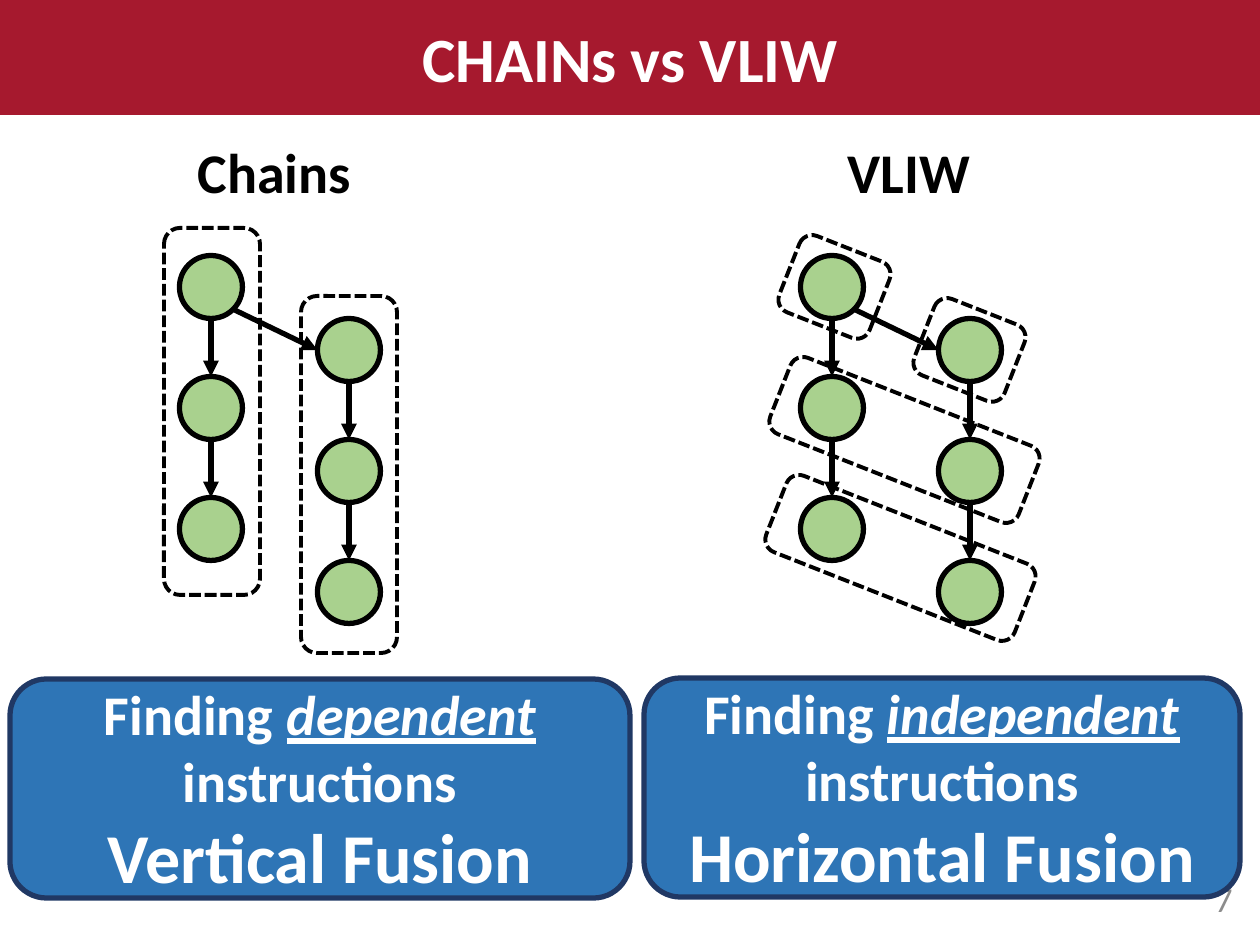
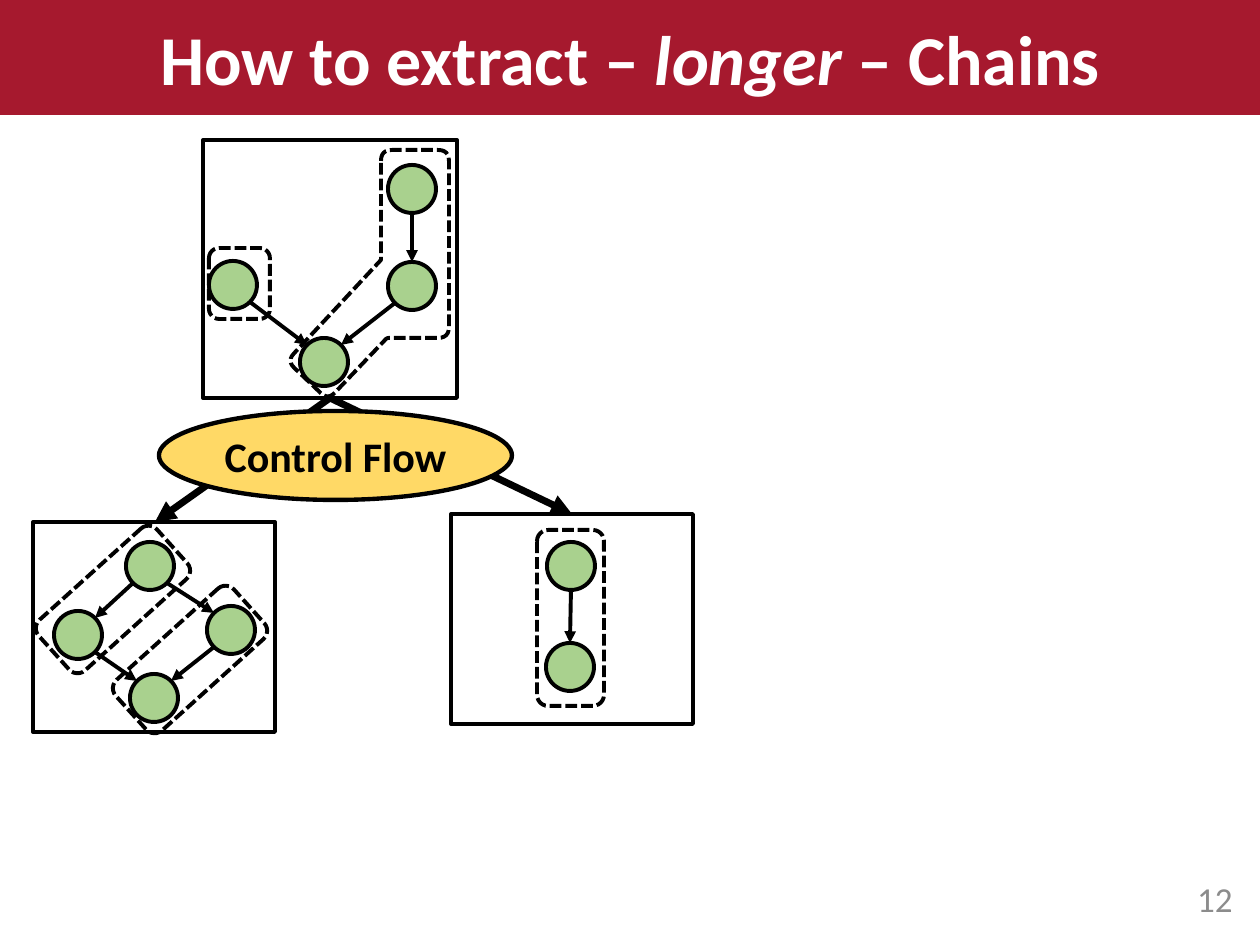
"""Build two slides that compare instruction chains and show how to extract them."""
import pptx
import pptx.dml.color
import pptx.enum.dml
import pptx.enum.shapes
import pptx.enum.text
import pptx.oxml
import pptx.oxml.ns
import pptx.util

COLOURS = {
    "band": "A6192E", "node": "A9D18E", "flow": "FFD966", "panel": "2E75B6",
    "panel_edge": "203864", "ink": "000000", "paper": "FFFFFF", "number": "8C8C8C",
}
FONT = "Calibri"
SCALE = 914400 / 126
SHAPES = pptx.enum.shapes.MSO_SHAPE
ALIGN = pptx.enum.text.PP_ALIGN
MIDDLE = pptx.enum.text.MSO_ANCHOR.MIDDLE
COMPASS = {"N": (0, -1), "S": (0, 1), "W": (-1, 0), "E": (1, 0),
           "NW": (-0.71, -0.71), "NE": (0.71, -0.71),
           "SW": (-0.71, 0.71), "SE": (0.71, 0.71)}


def emu(*pixels):
    """Turn pixel lengths into a list of EMU."""
    return [pptx.util.Emu(round(value * SCALE)) for value in pixels]


def colour(name):
    """Return the named colour."""
    return pptx.dml.color.RGBColor.from_string(COLOURS[name])


def write(para, text, size=32, ink="ink", bold=True, italic=None, underline=None):
    """Add one formatted span of text to a paragraph."""
    span = para.add_run()
    span.text = text
    span.font.name = FONT
    span.font.size = pptx.util.Pt(size)
    span.font.color.rgb = colour(ink)
    span.font.bold = bold
    span.font.italic = italic
    span.font.underline = underline


def rounded(corners, steps=6):
    """Return the outline through (x, y, radius) corners, rounded by short segments."""
    points = []
    for index, (x, y, radius) in enumerate(corners):
        if not radius:
            points.append((x, y))
            continue
        ends = []
        for other in (corners[index - 1], corners[(index + 1) % len(corners)]):
            run, rise = other[0] - x, other[1] - y
            share = radius / (run ** 2 + rise ** 2) ** 0.5
            ends.append((x + run * share, y + rise * share))
        (ax, ay), (bx, by) = ends
        for step in range(steps + 1):
            t = step / steps
            points.append(((1 - t) ** 2 * ax + 2 * t * (1 - t) * x + t * t * bx,
                           (1 - t) ** 2 * ay + 2 * t * (1 - t) * y + t * t * by))
    return points


class Board:
    """Hold the deck style and the slide being drawn."""

    def __init__(self, deck):
        """Keep the deck."""
        self.deck = deck
        self.page = None

    def start(self, number, spans, size):
        """Add a slide with its title band and number."""
        self.page = self.deck.slides.add_slide(self.deck.slide_layouts[5])
        title = self.page.shapes.title
        title.left, title.top, title.width, title.height = emu(0, 0, 1260, 115)
        title.fill.solid()
        title.fill.fore_color.rgb = colour("band")
        frame = title.text_frame
        frame.auto_size = pptx.enum.text.MSO_AUTO_SIZE.NONE
        frame.vertical_anchor = MIDDLE
        para = frame.paragraphs[0]
        para.alignment = ALIGN.CENTER
        for text, style in spans:
            write(para, text, size=size, ink="paper", **style)
        self.label(number, 961, 873, 284, 50, wrap=True, align=ALIGN.RIGHT,
                   size=20, ink="number", bold=False)

    def label(self, text, x, y, width, height, wrap=False, align=ALIGN.LEFT, **style):
        """Add a plain text box."""
        box = self.page.shapes.add_textbox(*emu(x, y, width, height))
        box.text_frame.word_wrap = wrap
        if wrap:
            box.text_frame.vertical_anchor = MIDDLE
        para = box.text_frame.paragraphs[0]
        para.alignment = align
        write(para, text, **style)

    def finish(self, box, fill, line, weight, dashed=False):
        """Set fill and line of a shape, without shadow."""
        box.shadow.inherit = False
        if fill:
            box.fill.solid()
            box.fill.fore_color.rgb = colour(fill)
        else:
            box.fill.background()
        box.line.color.rgb = colour(line)
        box.line.width = pptx.util.Pt(weight)
        if dashed:
            box.line.dash_style = pptx.enum.dml.MSO_LINE.SQUARE_DOT

    def shape(self, kind, x, y, width, height, fill=None, line="ink", weight=2.25,
              dashed=False, turn=0):
        """Add a preset shape."""
        box = self.page.shapes.add_shape(kind, *emu(x, y, width, height))
        box.rotation = turn
        self.finish(box, fill, line, weight, dashed)
        return box

    def fence(self, x, y, width, height, turn=0):
        """Add a dashed rounded frame around a chain."""
        self.shape(SHAPES.ROUNDED_RECTANGLE, x, y, width, height, dashed=True, turn=turn)

    def outline(self, corners):
        """Add a dashed frame of free form."""
        points = [emu(*point) for point in rounded(corners)]
        builder = self.page.shapes.build_freeform(*points[0])
        builder.add_line_segments(points[1:], close=True)
        self.finish(builder.convert_to_shape(), None, "ink", 2.25, dashed=True)

    def arrow(self, start, end, weight):
        """Add a straight arrow."""
        line = self.page.shapes.add_connector(
            pptx.enum.shapes.MSO_CONNECTOR.STRAIGHT, *emu(*start, *end))
        line.line.color.rgb = colour("ink")
        line.line.width = pptx.util.Pt(weight)
        space = pptx.oxml.ns.nsdecls("a")
        line.line._get_or_add_ln().append(
            pptx.oxml.parse_xml(f'<a:tailEnd {space} type="triangle"/>'))
        line._element.spPr.append(pptx.oxml.parse_xml(f"<a:effectLst {space}/>"))

    def graph(self, nodes, links, radius, weight):
        """Add round nodes, given by their centres, and the arrows between them."""
        for x, y in nodes.values():
            self.shape(SHAPES.OVAL, x - radius, y - radius, 2 * radius, 2 * radius,
                       fill="node", weight=weight)
        for source, leave, target, enter in links:
            ends = [[centre + radius * way for centre, way in zip(nodes[name], COMPASS[side])]
                    for name, side in ((source, leave), (target, enter))]
            self.arrow(*ends, weight)

    def panel(self, x, y, width, word, fusion):
        """Add a blue panel that names the kind of fusion."""
        box = self.shape(SHAPES.ROUNDED_RECTANGLE, x, y, width, 219,
                         fill="panel", line="panel_edge", weight=3)
        frame = box.text_frame
        frame.word_wrap = True
        frame.vertical_anchor = MIDDLE
        first, second = frame.paragraphs[0], frame.add_paragraph()
        first.alignment = second.alignment = ALIGN.CENTER
        write(first, "Finding ", ink="paper")
        write(first, word, ink="paper", italic=True, underline=True)
        write(first, " instructions", ink="paper")
        write(second, fusion, size=40, ink="paper")


def draw_comparison(board):
    """Draw chains beside VLIW bundles."""
    board.start("7", [("CHAINs vs VLIW", {})], size=36)
    links = [(f"{side}{row}", "S", f"{side}{row + 1}", "N")
             for side in ("left", "right") for row in range(2)]
    links.append(("left0", "SE", "right0", "W"))
    for shift in (0, 621):
        nodes = {f"{side}{row}": (x + shift, y + 121 * row)
                 for side, x, y in (("left", 211, 287), ("right", 349, 350))
                 for row in range(3)}
        board.graph(nodes, links, radius=31.5, weight=3)
    board.fence(164, 228, 96, 367)
    board.fence(301, 296, 96, 357)
    for x, y, width in ((767, 517, 267), (771, 399, 267), (786, 246, 97), (921, 309, 97)):
        board.fence(x, y, width, 82, turn=21.5)
    board.label("Chains", 185, 131, 180, 81)
    board.label("VLIW", 835, 131, 149, 81)
    board.panel(10, 679, 620, "dependent", "Vertical Fusion")
    board.panel(644, 678, 596, "independent", "Horizontal Fusion")


def draw_extraction(board):
    """Draw chains in blocks joined by control flow."""
    board.start("12", [("How to extract – ", {}), ("longer", {"italic": True}),
                       (" – Chains", {})], size=40)
    blocks = [
        ((203, 140, 254, 258),
         {"join": (324, 362), "left": (233, 285), "right": (412, 286), "top": (412, 189)},
         [("right", "SW", "join", "NE"), ("left", "SE", "join", "NW"),
          ("top", "S", "right", "N")]),
        ((451, 514, 242, 210),
         {"top": (571, 566), "bottom": (570, 667)},
         [("top", "S", "bottom", "N")]),
        ((33, 522, 242, 210),
         {"top": (150, 566), "bottom": (154, 698), "right": (231, 630), "left": (78, 635)},
         [("top", "SW", "left", "NE"), ("top", "SE", "right", "NW"),
          ("left", "SE", "bottom", "NW"), ("right", "SW", "bottom", "NE")]),
    ]
    for frame, nodes, links in blocks:
        board.shape(SHAPES.RECTANGLE, *frame)
        board.graph(nodes, links, radius=24, weight=2.25)
    for target in ((572, 514), (155, 522)):
        board.arrow((330, 398), target, 4)
    flow = board.shape(SHAPES.OVAL, 159, 411, 353, 89, fill="flow", weight=2.5)
    flow.text_frame.vertical_anchor = MIDDLE
    para = flow.text_frame.paragraphs[0]
    para.alignment = ALIGN.CENTER
    write(para, "Control Flow", size=24)
    board.outline([(381, 150, 11), (449, 150, 11), (449, 338, 11), (387, 338, 2),
                   (328, 400, 10), (287, 361, 10), (381, 260, 0)])
    board.fence(209, 248, 61, 71)
    board.fence(537, 530, 67, 176)
    for x, y in ((79, 520), (156, 580)):
        board.fence(x, y, 68, 159, turn=48)


def main():
    """Build and save the deck."""
    deck = pptx.Presentation()
    deck.slide_width, deck.slide_height = emu(1260, 945)
    board = Board(deck)
    draw_comparison(board)
    draw_extraction(board)
    deck.save("out.pptx")


main()
